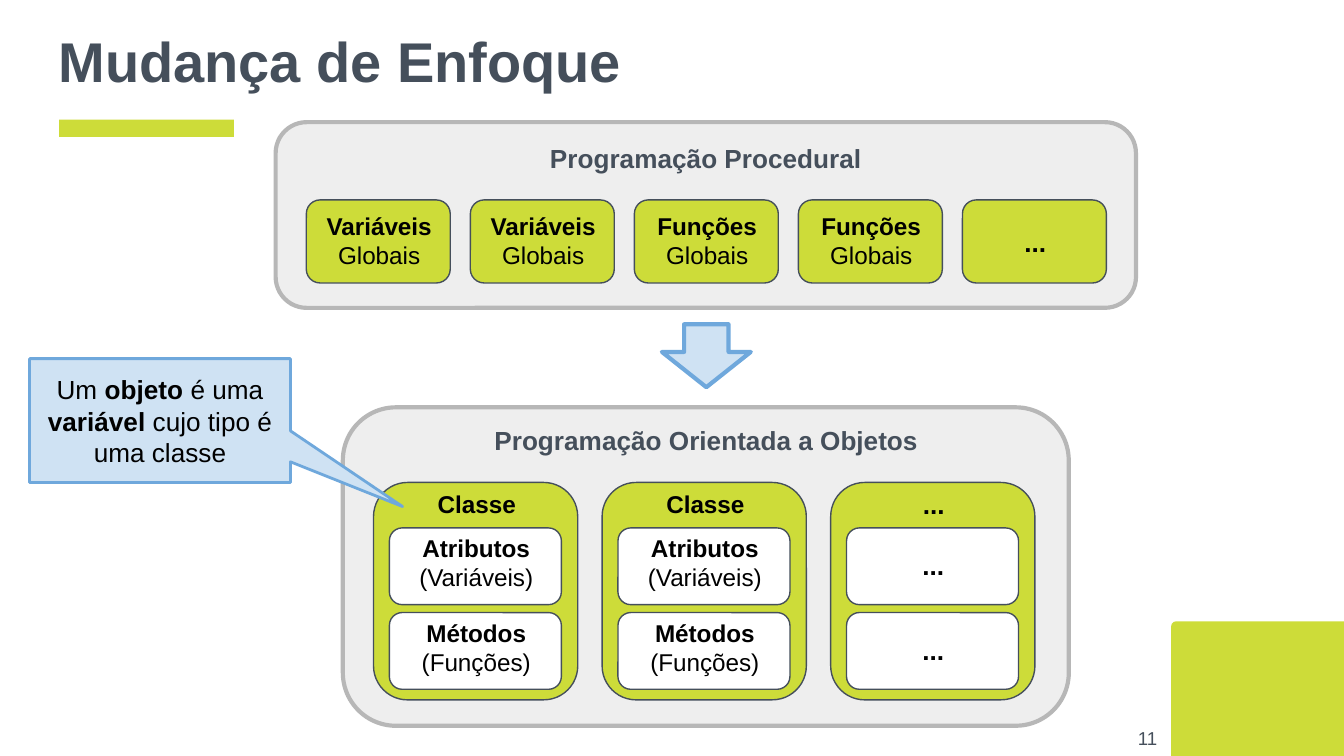
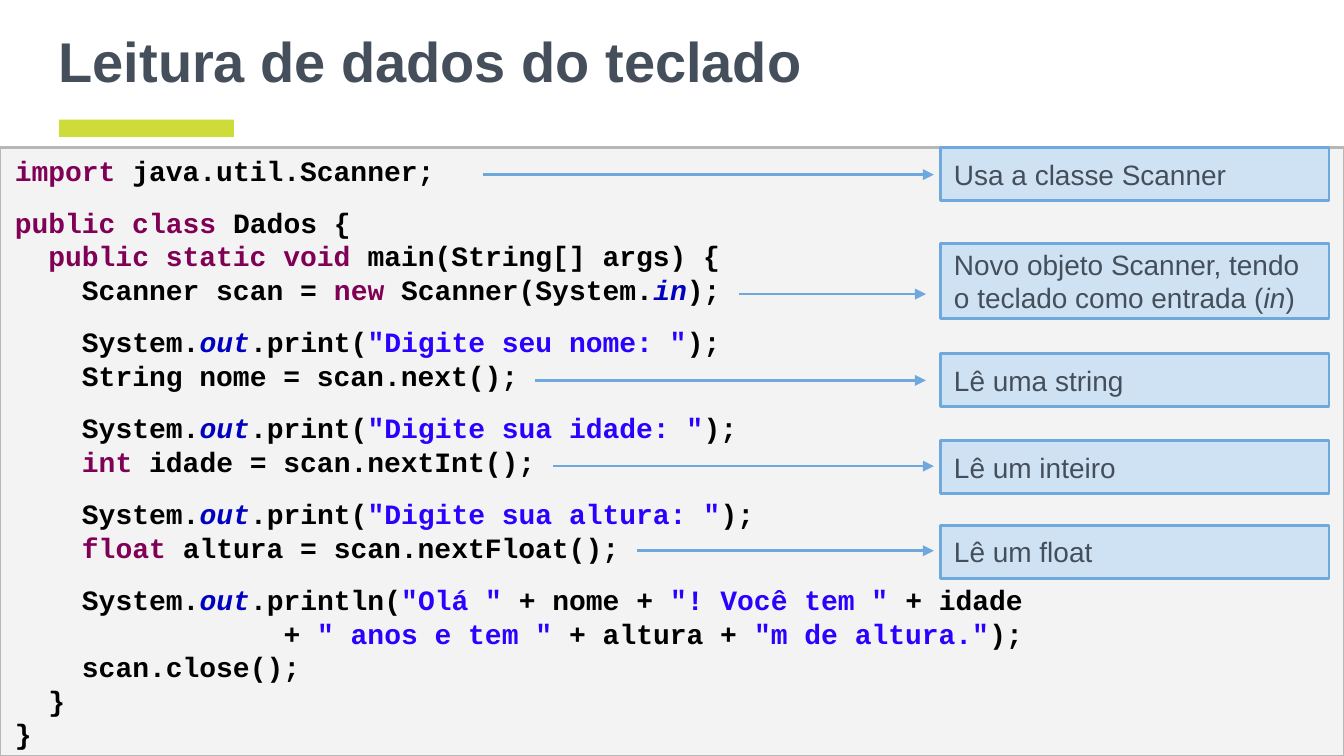
from dataclasses import dataclass
from functools import partial
from typing import NamedTuple, Optional, Union

from lxml.etree import SubElement
from pptx import Presentation
from pptx.dml.color import RGBColor
from pptx.enum.shapes import MSO_CONNECTOR, MSO_SHAPE
from pptx.enum.text import MSO_ANCHOR, PP_ALIGN
from pptx.oxml.ns import qn
from pptx.util import Cm, Pt

COLORS = {
    "lime": "CDDC39", "slate": "454F5B", "black": "000000", "white": "FFFFFF",
    "panel": "EEEEEE", "code": "F3F3F3", "gray": "B7B7B7",
    "sky": "CFE2F3", "blue": "6FA8DC",
    "keyword": "7F0055", "static": "0000C0", "string": "2A00FF",
}
CODE_SIZE = 15
CODE_COLUMN = Pt(CODE_SIZE * 0.6)  # every Courier New glyph is 0.6 em wide


class Box(NamedTuple):
    """Left, top, width and height in centimetres."""
    x: float
    y: float
    w: float
    h: float


class Run(NamedTuple):
    """A piece of text; None takes the format of the whole text."""
    text: str
    color: Optional[str] = None
    bold: Optional[bool] = None
    italic: Optional[bool] = None


@dataclass
class Para:
    runs: list
    columns: int = 0
    before: int = 0


@dataclass
class Note:
    """An explanation box with the arrow that leads to it."""
    runs: list
    top: float
    arrow_y: float
    arrow_from: float
    arrow_to: float = 17.65
    height: float = 1.0


Bold = partial(Run, bold=True)
Keyword = partial(Run, color="keyword")
Static = partial(Run, color="static", italic=True)
String = partial(Run, color="string")


def rgb(name: str) -> RGBColor:
    return RGBColor.from_string(COLORS[name])


def write(sp, content: Union[str, list], *, size=14, color="black", font="Arial",
          bold=False, align=PP_ALIGN.LEFT, anchor=MSO_ANCHOR.MIDDLE,
          inset=(0.25, 0.25)) -> None:
    """Fill a shape with a string, a list of runs or a list of Para."""
    tf = sp.text_frame
    tf.word_wrap = True
    tf.vertical_anchor = anchor
    tf.margin_left = tf.margin_right = Cm(inset[0])
    tf.margin_top = tf.margin_bottom = Cm(inset[1])
    items = [content] if isinstance(content, str) else content
    paras = items if isinstance(items[0], Para) else [Para(items)]
    for i, para in enumerate(paras):
        p = tf.add_paragraph() if i else tf.paragraphs[0]
        p.alignment = align
        p.space_before = Pt(para.before)
        if para.columns:
            p._p.get_or_add_pPr().set("marL", str(para.columns * CODE_COLUMN))
        for item in para.runs:
            run = Run(item) if isinstance(item, str) else item
            r = p.add_run()
            r.text = run.text
            r.font.name = font
            r.font.size = Pt(size)
            r.font.bold = bold if run.bold is None else run.bold
            r.font.italic = bool(run.italic)
            r.font.color.rgb = rgb(run.color or color)


def add_text(s, box: Box, content: Union[str, list], **fmt) -> None:
    write(s.shapes.add_textbox(*map(Cm, box)), content, **fmt)


def add_box(s, kind, box: Box, fill: str, line: Optional[str] = None,
            width: float = 1.5, adj: tuple = ()):
    sp = s.shapes.add_shape(kind, *map(Cm, box))
    sp.shadow.inherit = False
    sp.fill.solid()
    sp.fill.fore_color.rgb = rgb(fill)
    if line:
        sp.line.color.rgb = rgb(line)
        sp.line.width = Pt(width)
    else:
        sp.line.fill.background()
    for i, value in enumerate(adj):
        sp.adjustments[i] = value
    return sp


def add_arrow(s, x1: float, x2: float, y: float) -> None:
    cx = s.shapes.add_connector(MSO_CONNECTOR.STRAIGHT, Cm(x1), Cm(y), Cm(x2), Cm(y))
    cx.line.color.rgb = rgb("blue")
    cx.line.width = Pt(1.5)
    spPr = cx._element.spPr
    SubElement(spPr.find(qn("a:ln")), qn("a:tailEnd"), type="triangle")
    SubElement(spPr, qn("a:effectLst"))


def add_slide(prs, title: str):
    s = prs.slides.add_slide(prs.slide_layouts[6])
    add_box(s, MSO_SHAPE.RECTANGLE, Box(1.12, 2.26, 3.3, 0.33), "lime")
    add_text(s, Box(0.86, 0, 23.67, 2.26), title, size=30, color="slate", bold=True)
    return s


def add_numbered_corner(s, number: str) -> None:
    sp = add_box(s, MSO_SHAPE.ROUND_1_RECTANGLE, Box(22.5, 11.38, 2.57, 3.3),
                 "lime", adj=(0.034,))
    sp.rotation = 270
    add_text(s, Box(20.6, 13.41, 1.52, 1.09), number, size=10, color="slate",
             align=PP_ALIGN.RIGHT)


def add_panel(s, box: Box, label_box: Box, label: str) -> None:
    add_box(s, MSO_SHAPE.ROUNDED_RECTANGLE, box, "panel", "gray", 2.25)
    add_text(s, label_box, label, color="slate", bold=True,
             align=PP_ALIGN.CENTER, anchor=MSO_ANCHOR.TOP)


def add_card(s, box: Box, label_box: Box, head: str, rest: str = "",
             fill: str = "lime", middle: bool = False) -> None:
    """Rounded card with a bold head and a plain rest that wraps below it."""
    add_box(s, MSO_SHAPE.ROUNDED_RECTANGLE, box, fill, "slate", 0.75)
    runs = [Bold(head)] + ([" " + rest] if rest else [])
    add_text(s, label_box, runs, size=14 if head == "..." else 13,
             align=PP_ALIGN.CENTER,
             anchor=MSO_ANCHOR.MIDDLE if middle else MSO_ANCHOR.TOP)


def build_focus_slide(prs) -> None:
    s = add_slide(prs, "Mudança de Enfoque")
    add_numbered_corner(s, "11")

    add_panel(s, Box(5.21, 2.31, 16.26, 3.51), Box(9.86, 2.44, 6.96, 1.09),
              "Programação Procedural")
    globals_ = [("Variáveis", "Globais")] * 2 + [("Funções", "Globais")] * 2 + [("...", "")]
    for i, (head, rest) in enumerate(globals_):
        x = 5.79 + 3.1 * i
        add_card(s, Box(x, 3.78, 2.72, 1.57), Box(x + 0.03, 3.74, 2.69, 1.68),
                 head, rest, middle=not rest)

    add_panel(s, Box(6.48, 7.7, 13.72, 6.02), Box(8.79, 7.77, 9.12, 1.09),
              "Programação Orientada a Objetos")
    members = [("Atributos", "(Variáveis)"), ("Métodos", "(Funções)")]
    classes = [("Classe", members)] * 2 + [("...", [("...", "")] * 2)]
    for i, (name, parts) in enumerate(classes):
        x = 7.06 + 4.32 * i
        add_card(s, Box(x, 9.12, 3.86, 4.11), Box(x + 0.03, 8.99, 3.84, 1.09), name)
        for j, (head, rest) in enumerate(parts):
            y = 9.98 + 1.6 * j
            label_y = y - (0.15 if rest else 0.02)
            add_card(s, Box(x + 0.3, y, 3.25, 1.45), Box(x + 0.43, label_y, 3.02, 1.45),
                     head, rest, fill="white", middle=not rest)

    add_box(s, MSO_SHAPE.DOWN_ARROW, Box(12.51, 6.13, 1.68, 1.19), "sky", "blue",
            2.25, (0.5, 0.56))
    callout = add_box(s, MSO_SHAPE.ROUNDED_RECTANGULAR_CALLOUT,
                      Box(0.56, 6.78, 4.93, 2.34), "sky", "blue", adj=(0.93, 0.695, 0))
    write(callout, ["Um ", Bold("objeto"), " é uma ", Bold("variável"),
                    " cujo tipo é uma classe"], align=PP_ALIGN.CENTER)


def print_line(*runs, call: str = ".print(") -> Para:
    return Para(["System.", Static("out"), call, *runs], 4, 10)


CODE = [
    Para([Keyword("import"), " java.util.Scanner;"]),
    Para([Keyword("public class"), " Dados {"], 0, 10),
    Para([Keyword("public static void"), " main(String[] args) {"], 2),
    Para(["Scanner scan = ", Keyword("new"), " Scanner(System.", Static("in"), ");"], 4),
    print_line(String('"Digite seu nome: "'), ");"),
    Para(["String nome = scan.next();"], 4),
    print_line(String('"Digite sua idade: "'), ");"),
    Para([Keyword("int"), " idade = scan.nextInt();"], 4),
    print_line(String('"Digite sua altura: "'), ");"),
    Para([Keyword("float"), " altura = scan.nextFloat();"], 4),
    print_line(String('"Olá "'), " + nome + ", String('"! Você tem "'), " + idade",
               call=".println("),
    Para(["+ ", String('" anos e tem "'), " + altura + ", String('"m de altura."'), ");"], 16),
    Para(["scan.close();"], 4),
    Para(["}"], 2),
    Para(["}"]),
]

NOTES = [
    Note(["Usa a classe Scanner"], 2.79, 3.3, 9.12),
    Note(["Novo objeto Scanner, tendo o teclado como entrada (", Run("in", italic=True), ")"],
         4.6, 5.56, 13.97, 17.5, 1.42),
    Note(["Lê uma string"], 6.68, 7.19, 10.11, 17.5),
    Note(["Lê um inteiro"], 8.33, 8.81, 10.46),
    Note(["Lê um float"], 9.93, 10.41, 12.04),
]


def build_keyboard_slide(prs) -> None:
    s = add_slide(prs, "Leitura de dados do teclado")
    listing = add_box(s, MSO_SHAPE.RECTANGLE, Box(0, 2.79, 25.4, 11.5), "code", "gray", 1.44)
    write(listing, CODE, size=CODE_SIZE, font="Courier New", bold=True, inset=(0.28, 0.15))
    for note in NOTES:
        sp = add_box(s, MSO_SHAPE.RECTANGLE, Box(17.78, note.top, 7.34, note.height),
                     "sky", "blue")
        write(sp, note.runs, size=15, color="slate")
        add_arrow(s, note.arrow_from, note.arrow_to, note.arrow_y)


def main() -> None:
    prs = Presentation()
    prs.slide_width, prs.slide_height = Cm(25.4), Cm(14.29)
    build_focus_slide(prs)
    build_keyboard_slide(prs)
    prs.save("out.pptx")


if __name__ == "__main__":
    main()
